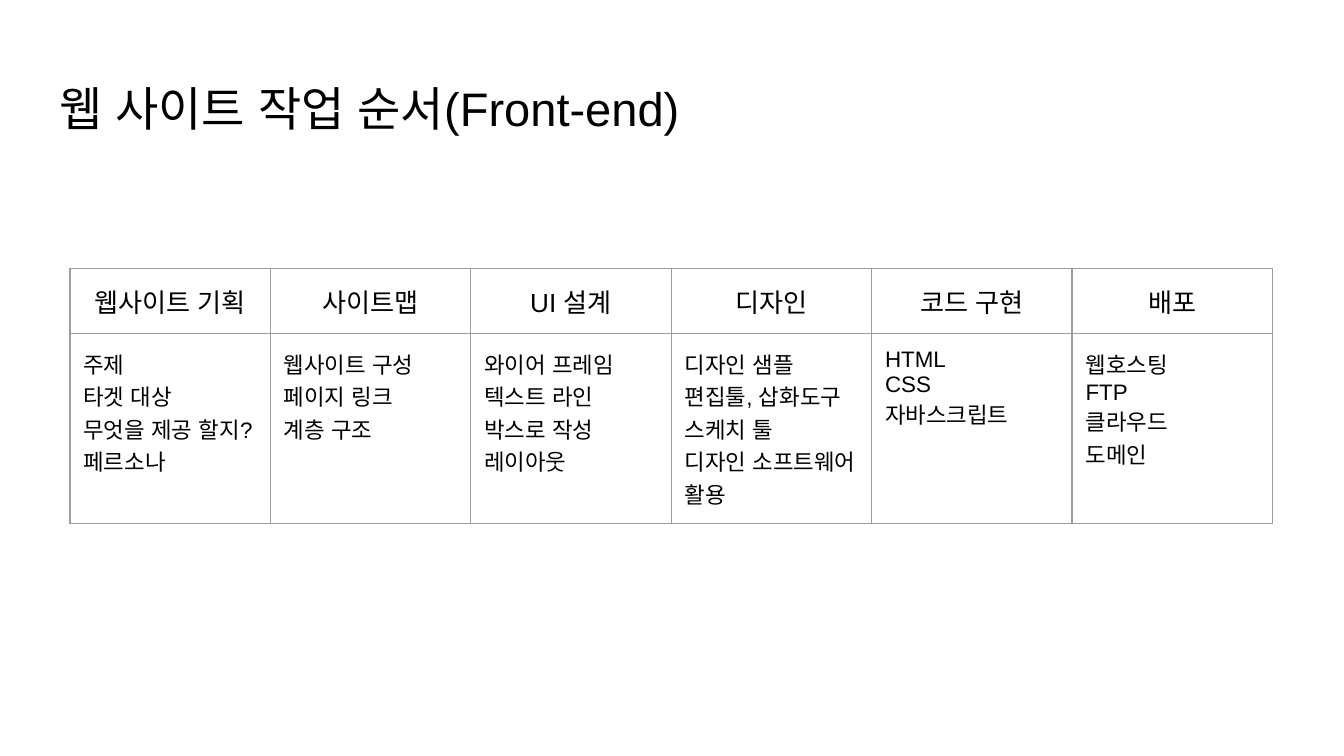
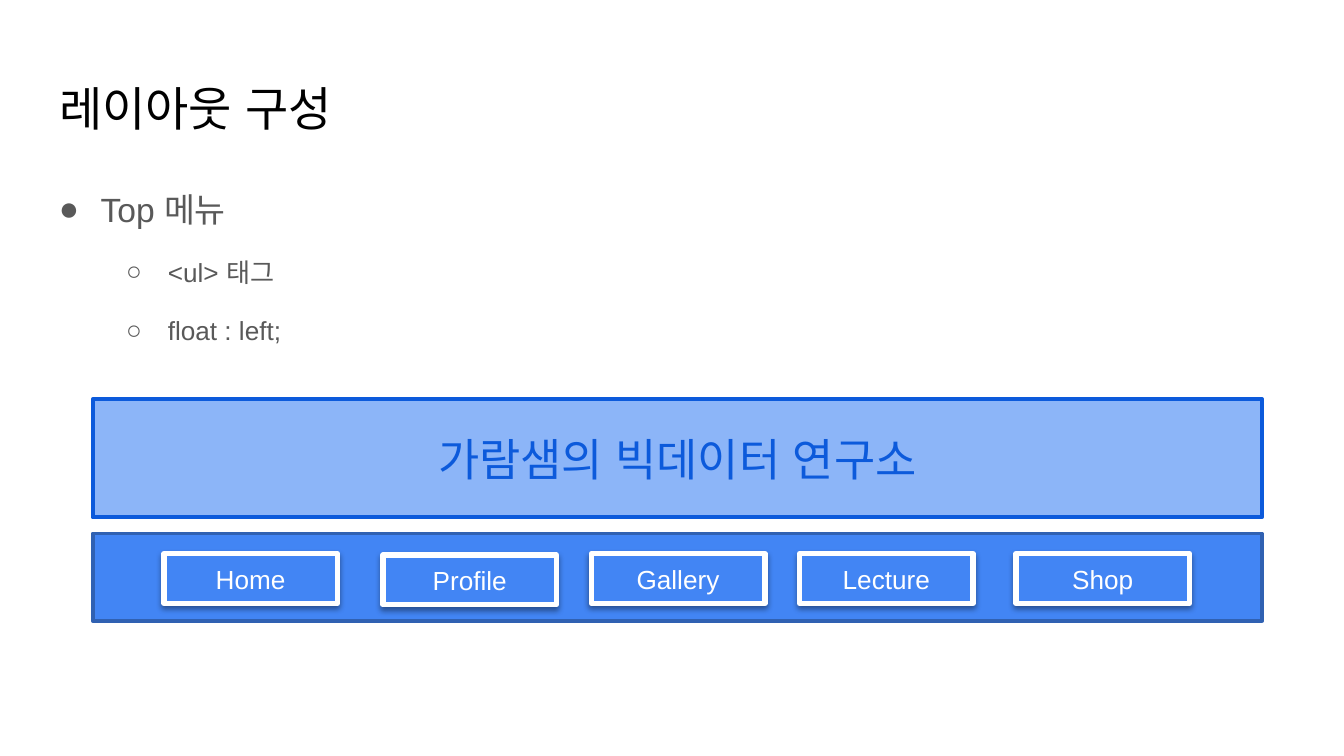
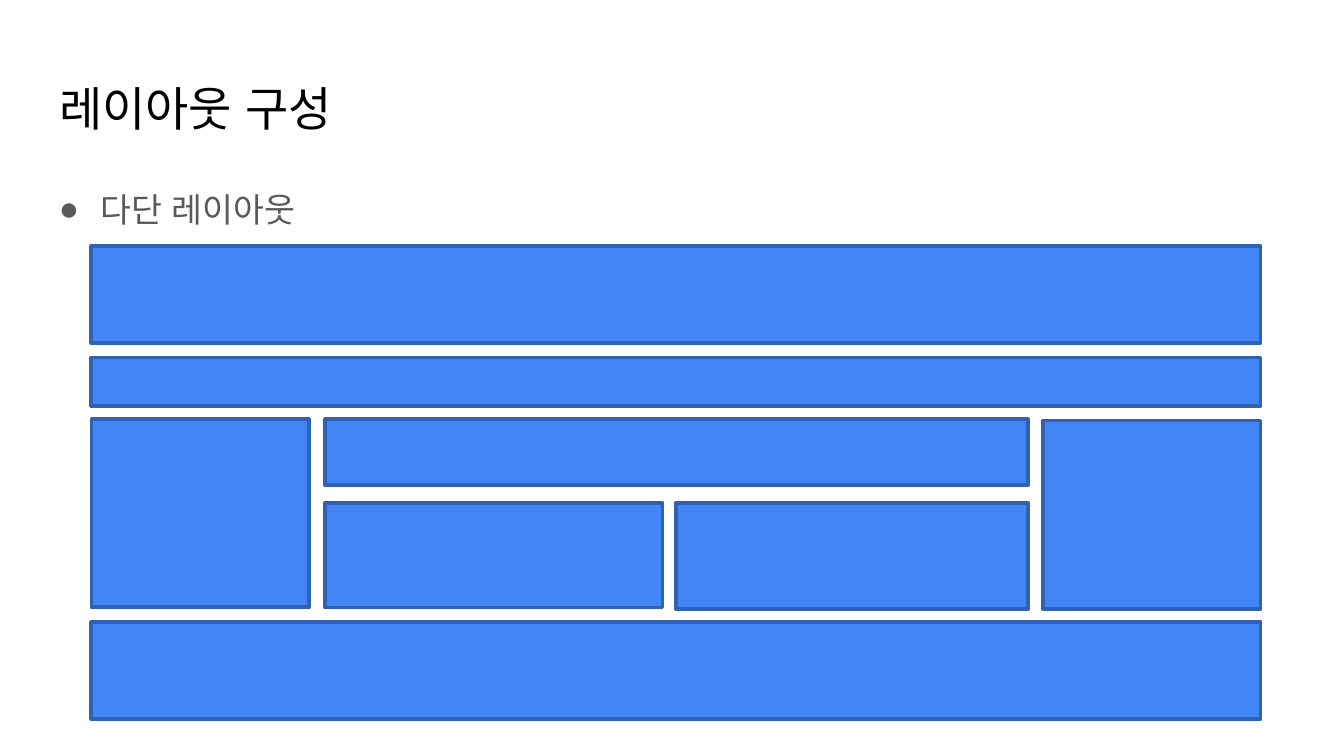
from typing import NamedTuple

from lxml import etree
from pptx import Presentation
from pptx import util as u
from pptx.dml.color import RGBColor
from pptx.enum import lang, shapes, text
from pptx.oxml import ns

# Shared style
FONT = "Arial"
BLACK = RGBColor(0x00, 0x00, 0x00)
WHITE = RGBColor(0xFF, 0xFF, 0xFF)
GRAY = RGBColor(0x59, 0x59, 0x59)
BORDER_GRAY = RGBColor(0x9E, 0x9E, 0x9E)
BLUE = RGBColor(0x42, 0x85, 0xF4)
DARK_BLUE = RGBColor(0x30, 0x61, 0xB2)
DEEP_BLUE = RGBColor(0x0C, 0x5A, 0xDB)
LIGHT_BLUE = RGBColor(0x8C, 0xB5, 0xF8)

SLIDE_WIDTH = u.Inches(10)
SLIDE_HEIGHT = SLIDE_WIDTH * 9 // 16
SIDE = 0.34
CONTENT_WIDTH = 9.32
INSET = 0.1


class Block(NamedTuple):
    left: float
    top: float
    width: float
    height: float
    label: str = ""
    fill: RGBColor = BLUE
    line: RGBColor = DARK_BLUE
    line_width: float = 2
    text_size: float = 14
    shadow: bool = False


class Bullet(NamedTuple):
    label: str
    level: int = 0
    before: float = 0
    after: float = 0


class BulletStyle(NamedTuple):
    symbol: str
    indent: float
    size: float


class Step(NamedTuple):
    name: str
    tasks: list[str]


BULLET_STYLES = [BulletStyle("●", 0.31, 18), BulletStyle("○", 0.81, 14)]
HANGING = 0.31

# Slide 1: work steps
STEPS = [
    Step("웹사이트 기획", ["주제", "타겟 대상", "무엇을 제공 할지?", "페르소나"]),
    Step("사이트맵", ["웹사이트 구성", "페이지 링크", "계층 구조"]),
    Step("UI 설계", ["와이어 프레임", "텍스트 라인", "박스로 작성", "레이아웃"]),
    Step("디자인", ["디자인 샘플", "편집툴, 삽화도구", "스케치 툴", "디자인 소프트웨어 활용"]),
    Step("코드 구현", ["HTML", "CSS", "자바스크립트"]),
    Step("배포", ["웹호스팅", "FTP", "클라우드", "도메인"]),
]
TABLE_WIDTH = 8.95
ROW_HEIGHT = 0.23  # rows grow to fit their text

# Slide 2: page header and its menu
HEADER = Block(0.69, 2.97, 8.7, 0.88, "가람샘의 빅데이터 연구소",
               LIGHT_BLUE, DEEP_BLUE, text_size=24)
MENU_BAR = Block(0.69, 3.97, 8.7, 0.65)
MENU = [("Home", 1.22, 4.12), ("Profile", 2.85, 4.13), ("Gallery", 4.4, 4.12),
        ("Lecture", 5.95, 4.12), ("Shop", 7.56, 4.12)]

# Slide 3: multi-column layout
PAGE_LEFT, PAGE_WIDTH = 0.68, 8.7
MAIN_LEFT, MAIN_WIDTH = 2.42, 5.23
SIDEBAR_WIDTH = 1.62
LAYOUT_BLOCKS = [
    Block(PAGE_LEFT, 1.83, PAGE_WIDTH, 0.72),
    Block(PAGE_LEFT, 2.66, PAGE_WIDTH, 0.36),
    Block(PAGE_LEFT, 3.12, SIDEBAR_WIDTH, 1.4),
    Block(PAGE_LEFT + PAGE_WIDTH - SIDEBAR_WIDTH, 3.13, SIDEBAR_WIDTH, 1.4),
    Block(MAIN_LEFT, 3.12, MAIN_WIDTH, 0.49),
    Block(PAGE_LEFT, 4.63, PAGE_WIDTH, 0.72),
    Block(MAIN_LEFT, 3.74, 2.51, 0.78),
    Block(5.03, 3.74, 2.62, 0.79),
]


def add_xml(parent, tag: str, **attributes):
    return etree.SubElement(parent, ns.qn(tag), attributes)


def format_paragraph(paragraph, size: float, color: RGBColor,
                     alignment=text.PP_ALIGN.LEFT, east_asian: bool = True) -> None:
    paragraph.alignment = alignment
    for run in paragraph.runs:
        run.font.size = u.Pt(size)
        run.font.color.rgb = color
        run.font.name = FONT
        run.font.language_id = lang.MSO_LANGUAGE_ID.KOREAN
        if east_asian:
            add_xml(run.font._element, "a:ea", typeface=FONT)


def set_insets(target) -> None:
    target.margin_left = target.margin_right = u.Inches(INSET)
    target.margin_top = target.margin_bottom = u.Inches(INSET)


def add_titled_slide(presentation, title_text: str):
    slide = presentation.slides.add_slide(presentation.slide_layouts[5])
    title = slide.shapes.title
    title.left, title.top = u.Inches(SIDE), u.Inches(0.49)
    title.width, title.height = u.Inches(CONTENT_WIDTH), u.Inches(0.63)
    frame = title.text_frame
    frame.text = title_text
    frame.word_wrap = True
    frame.auto_size = text.MSO_AUTO_SIZE.NONE
    frame.vertical_anchor = text.MSO_ANCHOR.TOP
    set_insets(frame)
    format_paragraph(frame.paragraphs[0], 25.2, BLACK)
    return slide


def add_bullets(slide, bullets: list[Bullet], height: float) -> None:
    box = slide.shapes.add_textbox(u.Inches(SIDE), u.Inches(1.26),
                                   u.Inches(CONTENT_WIDTH), u.Inches(height))
    frame = box.text_frame
    frame.word_wrap = True
    set_insets(frame)
    frame.text = "\n".join(bullet.label for bullet in bullets)
    for paragraph, bullet in zip(frame.paragraphs, bullets):
        style = BULLET_STYLES[bullet.level]
        properties = paragraph._p.get_or_add_pPr()
        properties.set("marL", str(u.Inches(style.indent)))
        properties.set("indent", str(-u.Inches(HANGING)))
        add_xml(add_xml(properties, "a:buClr"), "a:srgbClr", val=str(GRAY))
        add_xml(properties, "a:buFont", typeface=FONT)
        add_xml(properties, "a:buChar", char=style.symbol)
        paragraph.level = bullet.level
        paragraph.line_spacing = 1.15
        paragraph.space_before = u.Pt(bullet.before)
        paragraph.space_after = u.Pt(bullet.after)
        format_paragraph(paragraph, style.size, GRAY)


def add_block(slide, block: Block) -> None:
    shape = slide.shapes.add_shape(shapes.MSO_SHAPE.RECTANGLE,
                                   *(u.Inches(length) for length in block[:4]))
    shape.fill.solid()
    shape.fill.fore_color.rgb = block.fill
    shape.line.color.rgb = block.line
    shape.line.width = u.Pt(block.line_width)
    shape.shadow.inherit = False
    if block.shadow:
        effects = shape._element.spPr.find(ns.qn("a:effectLst"))
        shadow = add_xml(effects, "a:outerShdw", blurRad=str(u.Pt(3.1)), dist=str(u.Pt(1.6)),
                         dir="5400000", algn="t", rotWithShape="0")
        color = add_xml(shadow, "a:srgbClr", val=str(BLACK))
        add_xml(color, "a:alpha", val="38000")
    if block.label:
        frame = shape.text_frame
        frame.text = block.label
        frame.word_wrap = True
        frame.vertical_anchor = text.MSO_ANCHOR.MIDDLE
        text_color = WHITE if block.fill == BLUE else block.line
        format_paragraph(frame.paragraphs[0], block.text_size, text_color, text.PP_ALIGN.CENTER)


def fill_cell(cell, content: str, size: float, alignment) -> None:
    cell.text_frame.text = content
    set_insets(cell)
    cell.vertical_anchor = text.MSO_ANCHOR.TOP
    for paragraph in cell.text_frame.paragraphs:
        format_paragraph(paragraph, size, BLACK, alignment, east_asian=False)
    properties = cell._tc.get_or_add_tcPr()
    for side in ("a:lnL", "a:lnR", "a:lnT", "a:lnB"):
        border = add_xml(properties, side, w=str(u.Pt(0.75)))
        add_xml(add_xml(border, "a:solidFill"), "a:srgbClr", val=str(BORDER_GRAY))
    cell.fill.background()


def add_step_table(slide, steps: list[Step]) -> None:
    table = slide.shapes.add_table(2, len(steps), u.Inches(0.52), u.Inches(2),
                                   u.Inches(TABLE_WIDTH), u.Inches(2 * ROW_HEIGHT)).table
    table.first_row = table.horz_banding = False
    for row in table.rows:
        row.height = u.Inches(ROW_HEIGHT)
    for index, step in enumerate(steps):
        table.columns[index].width = u.Inches(TABLE_WIDTH / len(steps))
        fill_cell(table.cell(0, index), step.name, 14, text.PP_ALIGN.CENTER)
        fill_cell(table.cell(1, index), "\n".join(step.tasks), 12, text.PP_ALIGN.LEFT)


def main() -> None:
    presentation = Presentation()
    presentation.slide_width = SLIDE_WIDTH
    presentation.slide_height = SLIDE_HEIGHT

    # Work order
    slide = add_titled_slide(presentation, "웹 사이트 작업 순서(Front-end)")
    add_step_table(slide, STEPS)

    # Top menu
    slide = add_titled_slide(presentation, "레이아웃 구성")
    add_bullets(slide, [
        Bullet("Top 메뉴"),
        Bullet("<ul> 태그", 1, before=12),
        Bullet("float : left;", 1, before=12, after=12),
    ], 1.44)
    buttons = [Block(left, top, 1.29, 0.37, label, line=WHITE, line_width=3, shadow=True)
               for label, left, top in MENU]
    for block in [HEADER, MENU_BAR, *buttons]:
        add_block(slide, block)

    # Multi-column layout
    slide = add_titled_slide(presentation, "레이아웃 구성")
    add_bullets(slide, [Bullet("다단 레이아웃", after=12)], 3.74)
    for block in LAYOUT_BLOCKS:
        add_block(slide, block)

    presentation.save("out.pptx")


if __name__ == "__main__":
    main()
